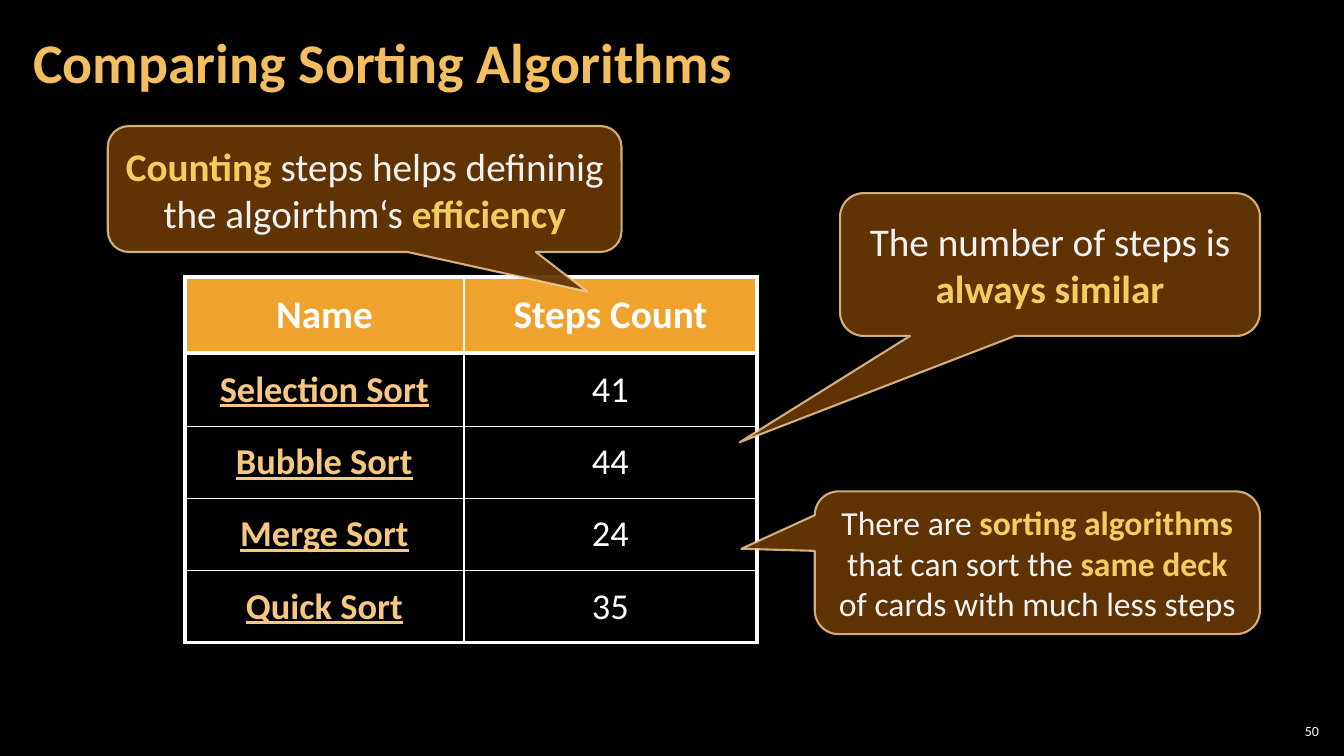
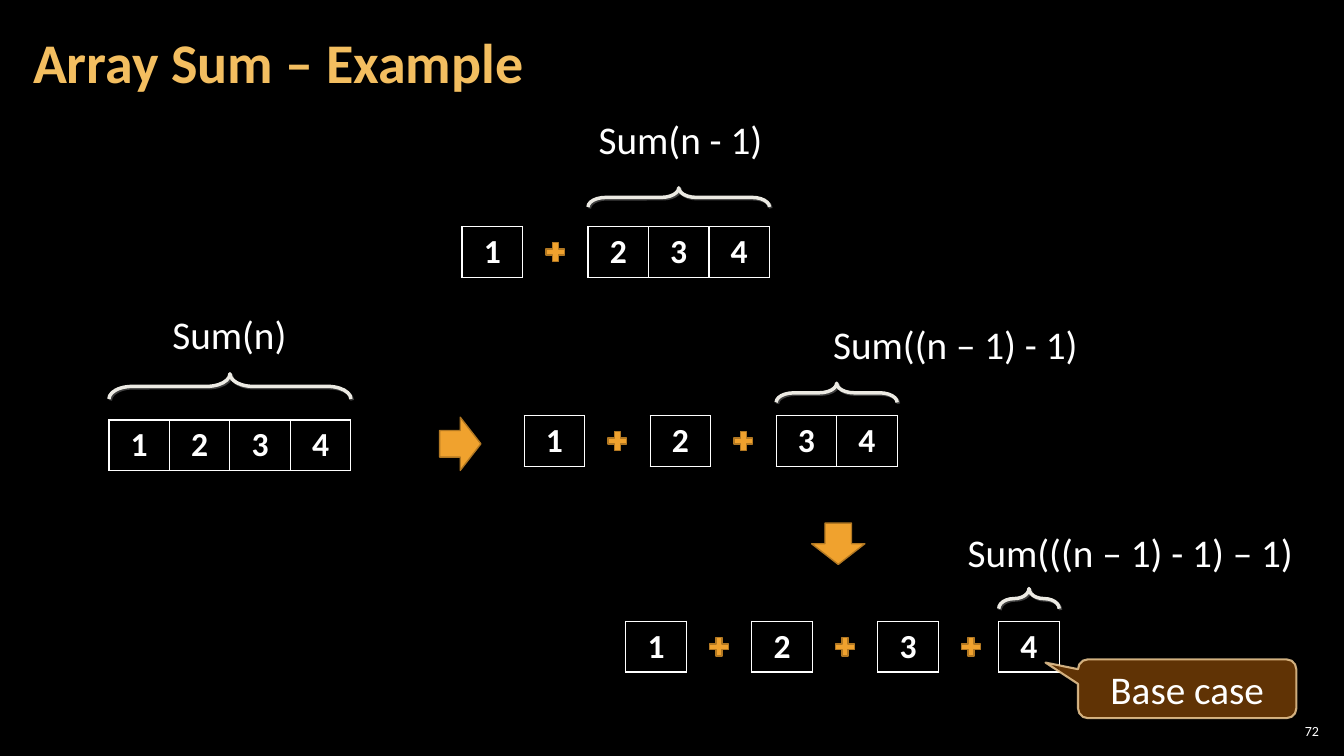
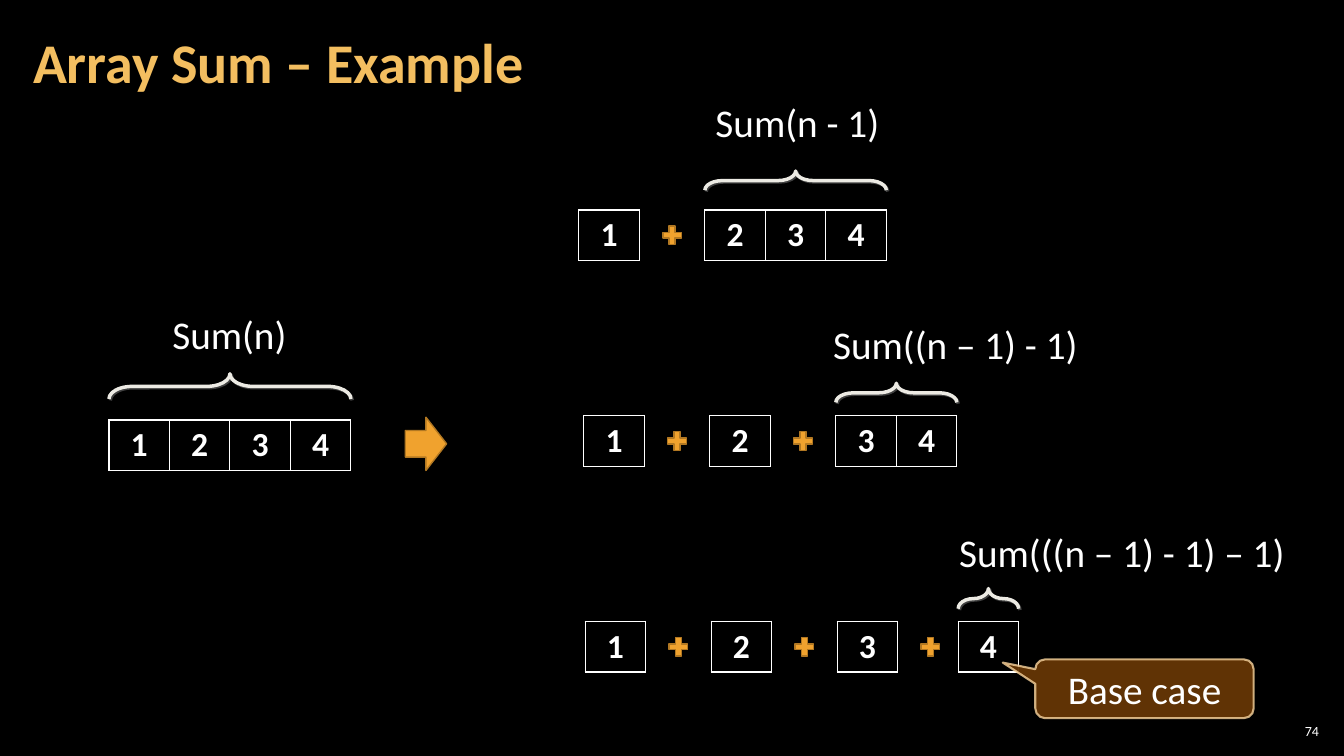
"""Build three slides on sorting step counts and recursive array sums."""
from lxml import etree
from pptx import Presentation
from pptx.dml.color import RGBColor
from pptx.enum import shapes, text
from pptx.oxml import ns
from pptx.util import Pt

COLORS = {
    "background": "000000", "white": "FFFFFF", "title": "F3BE60", "orange": "F0A22E",
    "orange_edge": "B27822", "name": "F6C781", "brown": "663606", "callout_edge": "F8D49E",
    "pale": "F2F2F2", "gold": "F3CD60", "brace": "ECEAE3", "shadow": "404040",
}
RGB = {name: RGBColor.from_string(value) for name, value in COLORS.items()}
CENTER = text.PP_ALIGN.CENTER
MIDDLE = text.MSO_ANCHOR.MIDDLE


def write(frame, runs, size, color="white", alignment=None, bold=False):
    """Write (text, emphasised) runs into the first paragraph and return it."""
    paragraph = frame.paragraphs[0]
    paragraph.alignment = alignment
    font = paragraph.font
    font.name, font.size, font.bold = "Calibri", Pt(size), bold
    font.color.rgb = RGB[color]
    for words, emphasised in runs:
        run = paragraph.add_run()
        run.text = words
        if emphasised:
            run.font.bold = True
            run.font.color.rgb = RGB["gold"]
    return paragraph


def border_cell(cell, left, right, top, bottom):
    """Draw white borders of the given point widths round a table cell."""
    properties = cell._tc.get_or_add_tcPr()
    for index, (side, width) in enumerate(zip("LRTB", (left, right, top, bottom))):
        line = etree.Element(ns.qn(f"a:ln{side}"), w=str(Pt(width)))
        solid = etree.SubElement(line, ns.qn("a:solidFill"))
        etree.SubElement(solid, ns.qn("a:srgbClr"), val=COLORS["white"])
        properties.insert(index, line)


presentation = Presentation()
presentation.slide_width, presentation.slide_height = Pt(960), Pt(540)
background = presentation.slide_master.background.fill
background.solid()
background.fore_color.rgb = RGB["background"]

slides = []
for title, number in (("Comparing Sorting Algorithms", "50"),
                      ("Array Sum – Example", "72"), ("Array Sum – Example", "74")):
    slide = presentation.slides.add_slide(presentation.slide_layouts[6])
    slides.append(slide)
    for words, box, inset, size, color, alignment, bold in (
            (number, (911, 514, 34, 15.5), 2.9, 10, "white", text.PP_ALIGN.RIGHT, False),
            (title, (15, 3, 754, 87), 8.6, 40, "title", text.PP_ALIGN.LEFT, True)):
        frame = slide.shapes.add_textbox(*map(Pt, box)).text_frame
        frame.word_wrap = True
        frame.vertical_anchor = MIDDLE
        frame.margin_left = frame.margin_right = Pt(inset)
        frame.margin_top = frame.margin_bottom = Pt(2.9)
        paragraph = write(frame, [(words, False)], size, color, alignment, bold)
    paragraph.line_spacing = 0.9
comparison, *examples = slides

step_rows = [("Name", "Steps Count", 54), ("Selection Sort", "41", 52.5), ("Bubble Sort", "44", 51.5),
             ("Merge Sort", "24", 51.5), ("Quick Sort", "35", 51.5)]
edges = [3, 3, 1, 1, 1, 3]
for top, first, last in ((198, 0, 3), (356, 3, 5)):
    rows = step_rows[first:last]
    height = sum(row[2] for row in rows)
    table = comparison.shapes.add_table(len(rows), 2, Pt(132), Pt(top), Pt(408.5), Pt(height)).table
    table.first_row = first == 0
    table.horz_banding = False
    table.columns[0].width, table.columns[1].width = Pt(199.5), Pt(209)
    for index, (name, steps, height) in enumerate(rows):
        table.rows[index].height = Pt(height)
        edge = first + index
        header = edge == 0
        for column, words in enumerate((name, steps)):
            cell = table.cell(index, column)
            cell.vertical_anchor = MIDDLE
            cell.fill.solid()
            cell.fill.fore_color.rgb = RGB["orange" if header else "background"]
            linked = column == 0 and not header
            paragraph = write(cell.text_frame, [(words, False)], 28 if header else 26,
                              "name" if linked else "white", CENTER, header or linked)
            paragraph.font.underline = linked
            border_cell(cell, (3, 1)[column], (1, 3)[column], edges[edge], edges[edge + 1])

CELL, PITCH = 43.2, 90
whole = (77.8, 300, ["1234"], 0, "Sum(n)", (116, 218, 97), 24, 18)
middle_label = ("Sum((n – 1) - 1)", (588, 225, 191.5), 16.4, 13.7)
array_rows = [
    [whole,
     (330, 162, ["1", "234"], 0, "Sum(n - 1)", (420.5, 79, 133), 21, 13.7),
     (374.4, 297, ["1", "2", "34"], 0, *middle_label),
     (447, 444, ["1", "2", "3", "4"], -3.6, "Sum(((n – 1) - 1) – 1)", (684, 374, 258.5), 16.4, 14.4)],
    [whole,
     (413.5, 150, ["1", "234"], 0, "Sum(n - 1)", (504, 67, 133), 21, 13.7),
     (417, 297, ["1", "2", "34"], 0, *middle_label),
     (418, 444, ["1", "2", "3", "4"], -3.6, "Sum(((n – 1) - 1) – 1)", (678, 374, 258.5), 16.4, 14.4)],
]
ARROW = shapes.MSO_SHAPE.RIGHT_ARROW
symbols = [(examples[0], ARROW, (314, 298, 29.5, 38), 0),
           (examples[0], ARROW, (584, 369.4, 29.5, 38), 90),
           (examples[1], ARROW, (289.5, 298, 29.5, 38), 0)]

for slide, rows in zip(examples, array_rows):
    for row_left, top, groups, last_shift, label, label_box, lift, brace_height in rows:
        for index, digits in enumerate(groups):
            is_last = index == len(groups) - 1
            left = row_left + index * PITCH + (last_shift if is_last else 0)
            width = CELL * len(digits)
            table = slide.shapes.add_table(1, len(digits), Pt(left), Pt(top), Pt(width), Pt(36)).table
            table.first_row = table.horz_banding = False
            for column, digit in enumerate(digits):
                table.columns[column].width = Pt(CELL)
                cell = table.cell(0, column)
                cell.fill.background()
                write(cell.text_frame, [(digit, False)], 24, "white", CENTER, True)
                border_cell(cell, 1, 1, 1, 1)
            if not is_last:
                symbols.append((slide, shapes.MSO_SHAPE.MATH_PLUS, (left + 57.6, top + 9, 18, 18), 0))

        brace = slide.shapes.add_shape(
            shapes.MSO_SHAPE.LEFT_BRACE, Pt(left + width / 2 - brace_height / 2),
            Pt(top - lift - width / 2), Pt(brace_height), Pt(width))
        brace.rotation = 90
        brace.adjustments[0] = 0.919
        brace.fill.background()
        brace.line.color.rgb = RGB["brace"]
        brace.line.width = Pt(2.5)
        effects = etree.SubElement(brace._element.spPr, ns.qn("a:effectLst"))
        shadow = etree.SubElement(effects, ns.qn("a:outerShdw"), blurRad="0",
                                  dist=str(Pt(1.4)), dir="2700000", algn="tl", rotWithShape="0")
        etree.SubElement(shadow, ns.qn("a:srgbClr"), val=COLORS["shadow"])

        frame = slide.shapes.add_textbox(*map(Pt, label_box), Pt(41)).text_frame
        frame.word_wrap = False
        frame.auto_size = text.MSO_AUTO_SIZE.SHAPE_TO_FIT_TEXT
        write(frame, [(label, False)], 28)

for slide, kind, box, rotation in symbols:
    shape = slide.shapes.add_shape(kind, *map(Pt, box))
    shape.shadow.inherit = False
    shape.rotation = rotation
    shape.fill.solid()
    shape.fill.fore_color.rgb = RGB["orange"]
    shape.line.color.rgb = RGB["orange_edge"]
    shape.line.width = Pt(1)

base_case = ((-0.649, -0.445), 28, "white", [("Base case", False)])
callouts = [
    (comparison, (600, 138, 300, 102), (-0.739, 1.245), 28, "pale",
     [("The number of steps is ", False), ("always similar", True)]),
    (comparison, (77, 90, 367, 90), (0.433, 0.814), 28, "pale",
     [("Counting ", True), ("steps helps defininig the algoirthm‘s ", False), ("efficiency", True)]),
    (comparison, (582, 351, 318, 102), (-0.665, -0.098), 24, "pale",
     [("There are ", False), ("sorting algorithms", True), (" that can sort the ", False),
      ("same deck", True), (" of cards with much less steps", False)]),
    (examples[0], (770, 471, 156, 42), *base_case),
    (examples[1], (739.5, 471, 156, 42), *base_case),
]
for slide, box, tip, size, color, runs in callouts:
    callout = slide.shapes.add_shape(shapes.MSO_SHAPE.ROUNDED_RECTANGULAR_CALLOUT, *map(Pt, box))
    callout.shadow.inherit = False
    callout.adjustments[0], callout.adjustments[1] = tip
    callout.fill.solid()
    callout.fill.fore_color.rgb = RGB["brown"]
    callout.line.color.rgb = RGB["callout_edge"]
    callout.line.width = Pt(1.5)
    fill_color, line_color = callout._element.spPr.iter(ns.qn("a:srgbClr"))
    etree.SubElement(fill_color, ns.qn("a:alpha"), val="95000")
    etree.SubElement(line_color, ns.qn("a:alpha"), val="80000")
    callout.text_frame.word_wrap = True
    callout.text_frame.vertical_anchor = MIDDLE
    write(callout.text_frame, runs, size, color, CENTER)

presentation.save("out.pptx")
